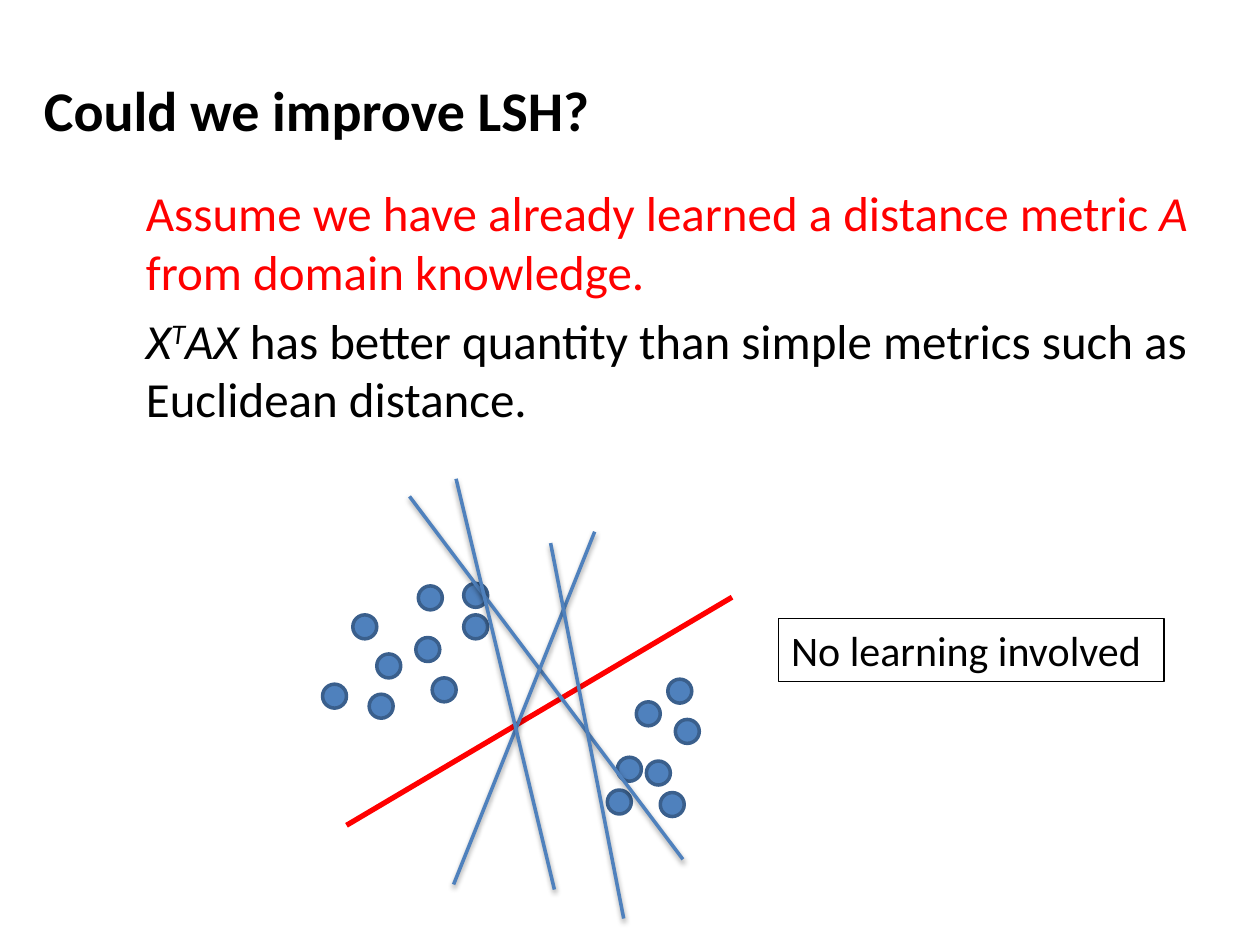
from lxml.etree import SubElement
from pptx import Presentation
from pptx.dml.color import RGBColor
from pptx.enum.shapes import MSO_CONNECTOR, MSO_SHAPE
from pptx.oxml.ns import qn
from pptx.util import Inches, Pt

COLORS = {"black": "000000", "red": "FF0000", "blue": "4F81BD", "outline": "3A5F8C"}
FONT = "Calibri"

# Each span: text, style ("bold", "italic", "super" or "")
TITLE = [("black", [("Could we improve LSH?", "bold")])]
BODY = [
    ("red", [
        ("Assume we have already learned a distance metric ", ""),
        ("A", "italic"),
        (" from domain knowledge.", ""),
    ]),
    ("black", [
        ("X", "italic"),
        ("T", "italic super"),
        ("AX", "italic"),
        (" has better quantity than simple metrics such as Euclidean distance.", ""),
    ]),
]
NOTE = [("black", [("No learning involved", "")])]

DOT_SIZE = 0.19
LEFT_CLUSTER = [(2.8, 4.88), (3.68, 4.63), (2.93, 5.51), (3.68, 4.88), (3.32, 4.65),
                (2.99, 5.19), (3.43, 5.38), (3.3, 5.06), (2.56, 5.43)]
RIGHT_CLUSTER = [(5.13, 6.04), (4.9, 6.01), (4.82, 6.27), (5.05, 5.57),
                 (5.3, 5.39), (5.36, 5.71), (5.24, 6.29)]
METRIC_LINE = (5.81, 4.74, 2.75, 6.55)
HASH_LINES = [(3.25, 3.94, 5.42, 6.82), (4.72, 4.22, 3.6, 7.02),
              (3.62, 3.8, 4.4, 7.06), (4.37, 4.31, 4.95, 7.29)]


def color(name):
    return RGBColor.from_string(COLORS[name])


def add_text(page, bounds, paragraphs, size):
    box = page.shapes.add_textbox(*map(Inches, bounds))
    frame = box.text_frame
    frame.word_wrap = True
    for index, (color_name, spans) in enumerate(paragraphs):
        para = frame.add_paragraph() if index else frame.paragraphs[0]
        if index:
            para.space_before = Pt(size * 0.2)
        for text, style in spans:
            span = para.add_run()
            span.text = text
            font = span.font
            font.name, font.size = FONT, Pt(size)
            font.color.rgb = color(color_name)
            font.bold = "bold" in style
            font.italic = "italic" in style
            if "super" in style:
                span._r.get_or_add_rPr().set("baseline", "30000")
    return box


def add_dot(page, left, top):
    dot = page.shapes.add_shape(
        MSO_SHAPE.OVAL, *map(Inches, (left, top, DOT_SIZE, DOT_SIZE)))
    dot.shadow.inherit = False
    dot.fill.solid()
    dot.fill.fore_color.rgb = color("blue")
    dot.line.color.rgb = color("outline")
    dot.line.width = Pt(2)


def add_line(page, ends, color_name, width, shadow=False):
    line = page.shapes.add_connector(MSO_CONNECTOR.STRAIGHT, *map(Inches, ends))
    line.line.color.rgb = color(color_name)
    line.line.width = Pt(width)
    effects = SubElement(line._element.spPr, qn("a:effectLst"))
    if shadow:
        outer = SubElement(effects, qn("a:outerShdw"), blurRad=str(Pt(3.1)),
                           dist=str(Pt(1.6)), dir="5400000", rotWithShape="0")
        tint = SubElement(outer, qn("a:srgbClr"), val=COLORS["black"])
        SubElement(tint, qn("a:alpha"), val="38000")


def main():
    deck = Presentation()
    deck.slide_width, deck.slide_height = Inches(10), Inches(7.5)
    page = deck.slides.add_slide(deck.slide_layouts[6])

    add_text(page, (0.25, 0.55, 4.65, 0.71), TITLE, 32)
    add_text(page, (1.06, 1.4, 8.68, 2.8), BODY, 28)
    for left, top in LEFT_CLUSTER + RIGHT_CLUSTER:
        add_dot(page, left, top)
    add_line(page, METRIC_LINE, "red", 3)
    for ends in HASH_LINES:
        add_line(page, ends, "blue", 2, shadow=True)
    note = add_text(page, (6.18, 4.91, 3.06, 0.5), NOTE, 24)
    note.line.color.rgb = color("black")
    note.line.width = Pt(0.75)

    deck.save("out.pptx")


if __name__ == "__main__":
    main()
